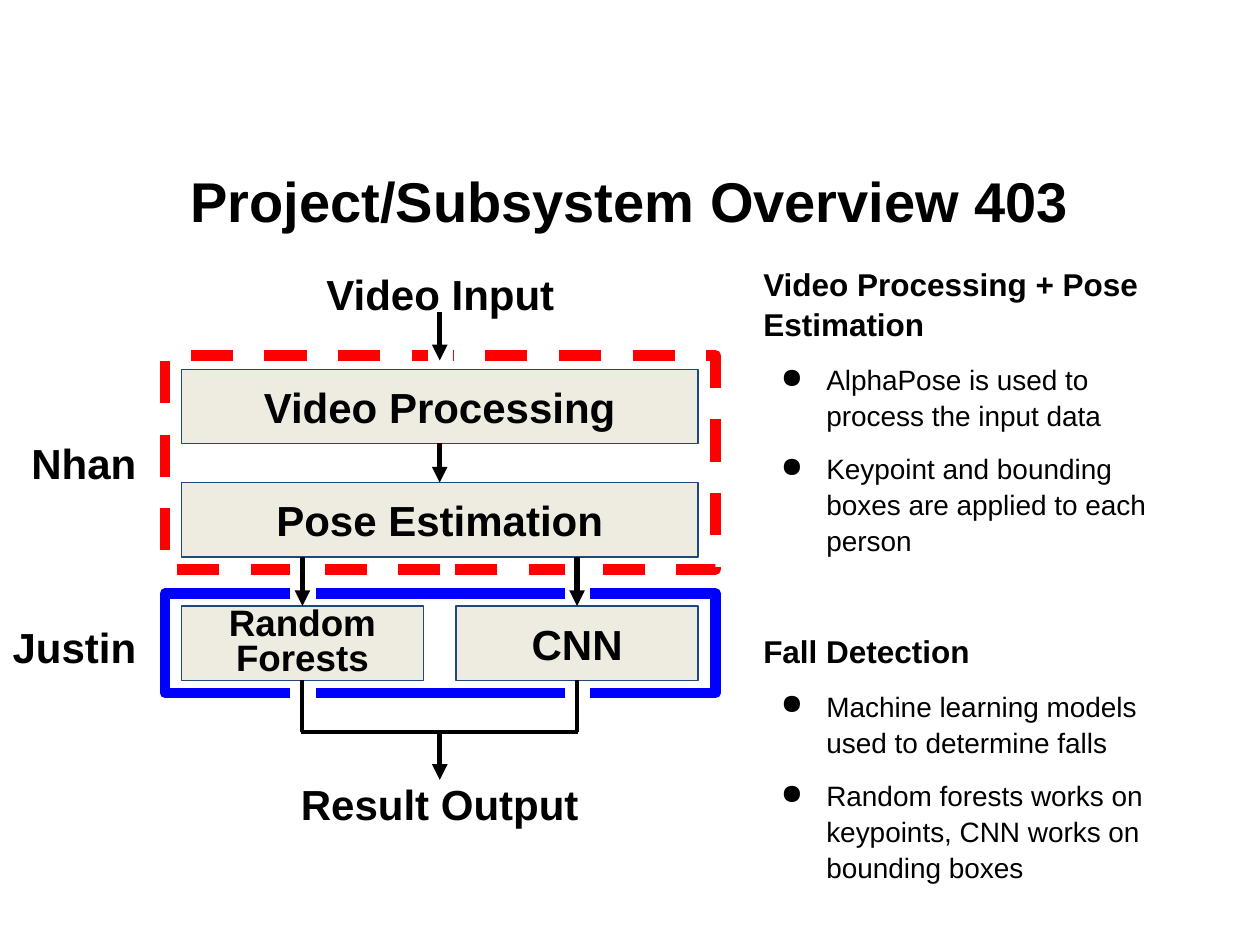
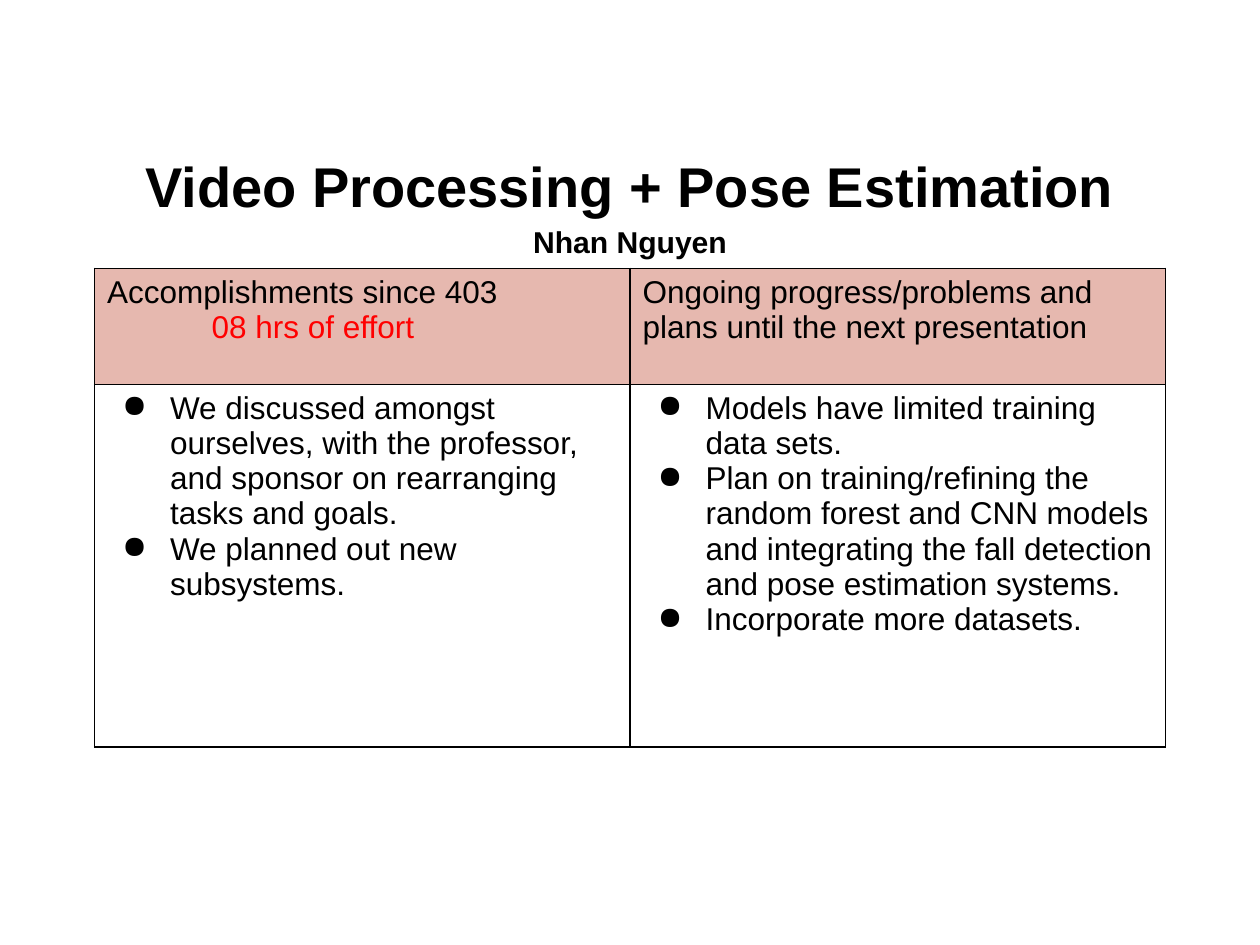
from collections import namedtuple

from lxml import etree
from pptx import Presentation
from pptx import util as u
from pptx.dml.color import RGBColor
from pptx.enum import dml, shapes, text
from pptx.oxml import ns

PX = 9144  # 100 px to the inch
FONT = "Arial"
BLACK = RGBColor(0, 0, 0)
WHITE = RGBColor(0xFF, 0xFF, 0xFF)
RED = RGBColor(0xFF, 0, 0)
BLUE = RGBColor(0, 0, 0xFF)
NAVY = RGBColor(0x1F, 0x49, 0x7D)
CREAM = RGBColor(0xEE, 0xEC, 0xE1)
PINK = RGBColor(0xE6, 0xB8, 0xAF)

Box = namedtuple("Box", "left top width height")
TITLE_BOX = Box(50, 115, 900, 88)
DIAGRAM_BOX = Box(131, 203, 437, 466)
NOTES_BOX = Box(596, 203, 354, 528)
TABLE_BOX = Box(75, 213, 850, 380)

TOPICS = [
    ("Video Processing + Pose Estimation",
     ["AlphaPose is used to process the input data",
      "Keypoint and bounding boxes are applied to each person"]),
    ("Fall Detection",
     ["Machine learning models used to determine falls",
      "Random forests works on keypoints, CNN works on bounding boxes"]),
]
ACCOMPLISHMENTS = [
    "We discussed amongst ourselves, with the professor, and sponsor on "
    "rearranging tasks and goals.",
    "We planned out new subsystems.",
]
PLANS = [
    "Models have limited training data sets.",
    "Plan on training/refining the random forest and CNN models and "
    "integrating the fall detection and pose estimation systems.",
    "Incorporate more datasets.",
]


def emu(*lengths):
    return [u.Emu(length * PX) for length in lengths]


def add_child(parent, tag, **attributes):
    return etree.SubElement(parent, ns.qn(tag), attributes)


def style(paragraph, size, bold=False, color=BLACK):
    for run in paragraph.runs:
        run.font.name = FONT
        run.font.size = u.Pt(size)
        run.font.bold = bold
        run.font.color.rgb = color


def write_lines(frame, lines):
    """Put each line in its own paragraph and return the paragraphs."""
    frame.text = "\n".join(lines)
    return frame.paragraphs


def add_bullet(paragraph, hang):
    properties = paragraph._p.get_or_add_pPr()
    properties.set("marL", str(50 * PX))
    properties.set("indent", str(-hang * PX))
    color = add_child(properties, "a:buClr")
    add_child(color, "a:srgbClr", val=str(BLACK))
    add_child(properties, "a:buChar", char="●")


def add_title_slide(presentation, title, subtitle=None):
    slide = presentation.slides.add_slide(presentation.slide_layouts[5])
    shape = slide.shapes.title
    shape.left, shape.top, shape.width, shape.height = emu(*TITLE_BOX)
    frame = shape.text_frame
    frame.auto_size = text.MSO_AUTO_SIZE.NONE
    frame.vertical_anchor = text.MSO_ANCHOR.MIDDLE
    paragraphs = write_lines(frame, [title, subtitle] if subtitle else [title])
    for paragraph, size in zip(paragraphs, (32, 17.2)):
        paragraph.alignment = text.PP_ALIGN.CENTER
        if subtitle:
            paragraph.line_spacing = 1.15
        style(paragraph, size, bold=True)
    return slide


def add_rectangle(slide, box, line, line_width=0.75, fill=None):
    shape = slide.shapes.add_shape(shapes.MSO_SHAPE.RECTANGLE, *emu(*box))
    shape.shadow.inherit = False
    if fill is None:
        shape.fill.background()
    else:
        shape.fill.solid()
        shape.fill.fore_color.rgb = fill
    shape.line.color.rgb = line
    shape.line.width = u.Pt(line_width)
    return shape


def add_frame(slide, box, color, dashed=False):
    """Draw the thick outline that marks one owner's stages."""
    line = add_rectangle(slide, box, color, 6).line
    if dashed:
        line.dash_style = dml.MSO_LINE.DASH
    add_child(line._get_or_add_ln(), "a:round")


def set_margins(frame, size):
    frame.margin_left = frame.margin_right = u.Emu(size * PX)
    frame.margin_top = frame.margin_bottom = u.Emu(size * PX)


def add_stage(slide, box, name, size=24):
    shape = add_rectangle(slide, box, NAVY, fill=CREAM)
    frame = shape.text_frame
    frame.text = name
    frame.word_wrap = True
    frame.vertical_anchor = text.MSO_ANCHOR.MIDDLE
    set_margins(frame, 10)
    paragraph = frame.paragraphs[0]
    paragraph.alignment = text.PP_ALIGN.CENTER
    style(paragraph, size, bold=True)
    return shape


def add_label(slide, box, words, alignment=text.PP_ALIGN.CENTER):
    frame = slide.shapes.add_textbox(*emu(*box)).text_frame
    frame.text = words
    frame.word_wrap = True
    set_margins(frame, 10)
    frame.paragraphs[0].alignment = alignment
    style(frame.paragraphs[0], 24, bold=True)


def add_line(slide, start, end, width=2.25, arrow=False):
    connector = slide.shapes.add_connector(
        shapes.MSO_CONNECTOR.STRAIGHT, *emu(*start, *end))
    connector.line.color.rgb = BLACK
    connector.line.width = u.Pt(width)
    if arrow:
        add_child(connector.line._get_or_add_ln(), "a:tailEnd", type="triangle")
    add_child(connector._element.spPr, "a:effectLst")
    return connector


def add_arrow(slide, start, end):
    return add_line(slide, start, end, 3, arrow=True)


def add_pipeline(slide, box):
    left, top, width, height = box
    center = left + width // 2
    inset, stage_height, branch_width = 13, 59, 192
    stage_left, stage_width = left + inset, width - 2 * inset - 1
    video_top, pose_top, model_top = top + 90, top + 180, top + 278
    pose_bottom, model_bottom = pose_top + stage_height, model_top + stage_height
    merge_top = top + 378
    branch_lefts = (stage_left, stage_left + stage_width - branch_width)
    branch_centers = [x + branch_width // 2 for x in branch_lefts]

    add_frame(slide, Box(left, top + 268, width, 79), BLUE)
    add_frame(slide, Box(left, top + 79, width, 170), RED, dashed=True)

    # White gaps where the flow crosses a frame
    crossings = [(center, top + 42)]
    crossings += [(x, y) for x in branch_centers for y in (top + 235, top + 333)]
    for x, y in crossings:
        add_rectangle(slide, Box(x - 9, y, 19, 41), WHITE, fill=WHITE)

    video = add_stage(slide, Box(stage_left, video_top, stage_width, stage_height),
                      "Video Processing")
    pose = add_stage(slide, Box(stage_left, pose_top, stage_width, stage_height),
                     "Pose Estimation")
    forests, cnn = [
        add_stage(slide, Box(x, model_top, branch_width, stage_height), name, size)
        for x, name, size in zip(branch_lefts, ("Random Forests", "CNN"), (21, 24))]
    forests.text_frame.paragraphs[0].line_spacing = 0.8

    add_arrow(slide, (center, top + 45), (center, top + 83))
    between = add_arrow(slide, (center, video_top + stage_height), (center, pose_top))
    between.begin_connect(video, 2)
    between.end_connect(pose, 0)
    for model, x in zip((forests, cnn), branch_centers):
        add_arrow(slide, (x, pose_bottom), (x, model_top)).end_connect(model, 0)
        add_line(slide, (x, model_bottom), (x, merge_top)).begin_connect(model, 2)
    add_line(slide, (branch_centers[0] - 1, merge_top),
             (branch_centers[1] + 1, merge_top))
    add_arrow(slide, (center, merge_top), (center, top + 416))

    add_label(slide, Box(center - 147, top, 295, 61), "Video Input")
    add_label(slide, Box(center - 156, top + height - 61, 312, 61), "Result Output")
    for owner, y in (("Nhan", top + 134), ("Justin", top + 280)):
        add_label(slide, Box(left - 131, y, 118, 61), owner, text.PP_ALIGN.RIGHT)


def add_topic_notes(slide, box):
    frame = slide.shapes.add_textbox(*emu(*box)).text_frame
    frame.word_wrap = True
    lines = [line for heading, points in TOPICS for line in (heading, *points)]
    headings = [heading for heading, points in TOPICS]
    for index, paragraph in enumerate(write_lines(frame, lines)):
        is_heading = paragraph.text in headings
        paragraph.line_spacing = 1.07
        if index:
            paragraph.space_before = u.Pt(41 if is_heading else 10)
        if not is_heading:
            add_bullet(paragraph, 36)
        style(paragraph, 18 if is_heading else 16, bold=is_heading)


def add_borders(cell):
    properties = cell._tc.get_or_add_tcPr()
    for side in ("a:lnL", "a:lnR", "a:lnT", "a:lnB"):
        line = add_child(properties, side, w=str(u.Pt(1)))
        fill = add_child(line, "a:solidFill")
        add_child(fill, "a:srgbClr", val=str(BLACK))


def add_progress_table(slide, box):
    table = slide.shapes.add_table(2, 2, *emu(*box)).table
    for column in table.columns:
        column.width = u.Emu(box.width // 2 * PX)
    header_height = 92
    table.rows[0].height, table.rows[1].height = emu(
        header_height, box.height - header_height)
    contents = [
        [["Accomplishments since 403", "08 hrs of effort"],
         ["Ongoing progress/problems and plans until the next presentation"]],
        [ACCOMPLISHMENTS, PLANS],
    ]
    for row, row_contents in enumerate(contents):
        for column, lines in enumerate(row_contents):
            cell = table.cell(row, column)
            add_borders(cell)
            if row == 0:
                cell.fill.solid()
                cell.fill.fore_color.rgb = PINK
            else:
                cell.fill.background()
            for paragraph in write_lines(cell.text_frame, lines):
                if row:
                    add_bullet(paragraph, 38)
                style(paragraph, 18)
    effort = table.cell(0, 0).text_frame.paragraphs[1]
    effort._p.get_or_add_pPr().set("marL", str(83 * PX))
    style(effort, 18, color=RED)


def main():
    presentation = Presentation()
    presentation.slide_width, presentation.slide_height = emu(1000, 750)

    overview = add_title_slide(presentation, "Project/Subsystem Overview 403")
    add_pipeline(overview, DIAGRAM_BOX)
    add_topic_notes(overview, NOTES_BOX)

    progress = add_title_slide(
        presentation, "Video Processing + Pose Estimation", "Nhan Nguyen")
    add_progress_table(progress, TABLE_BOX)

    presentation.save("out.pptx")


if __name__ == "__main__":
    main()
